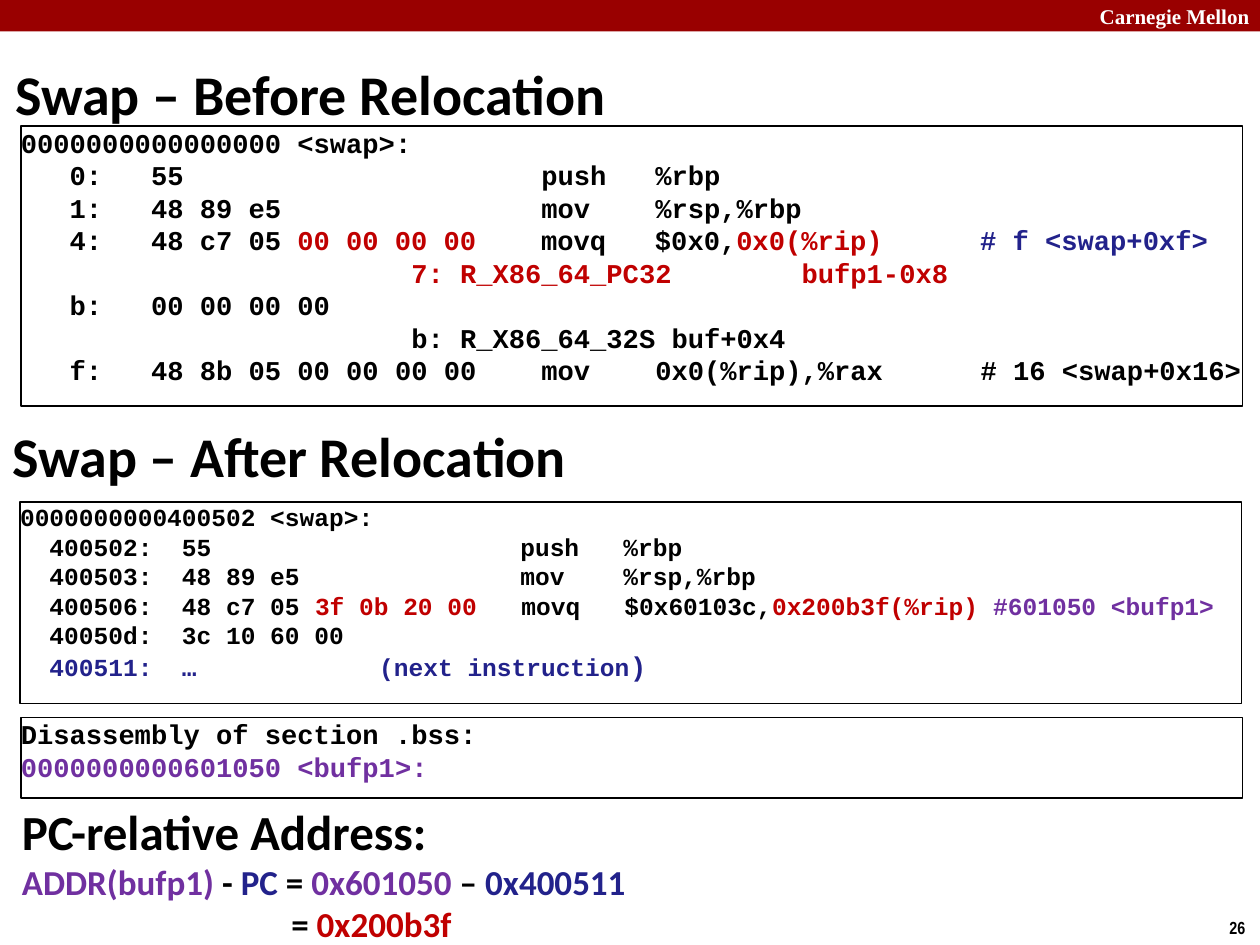
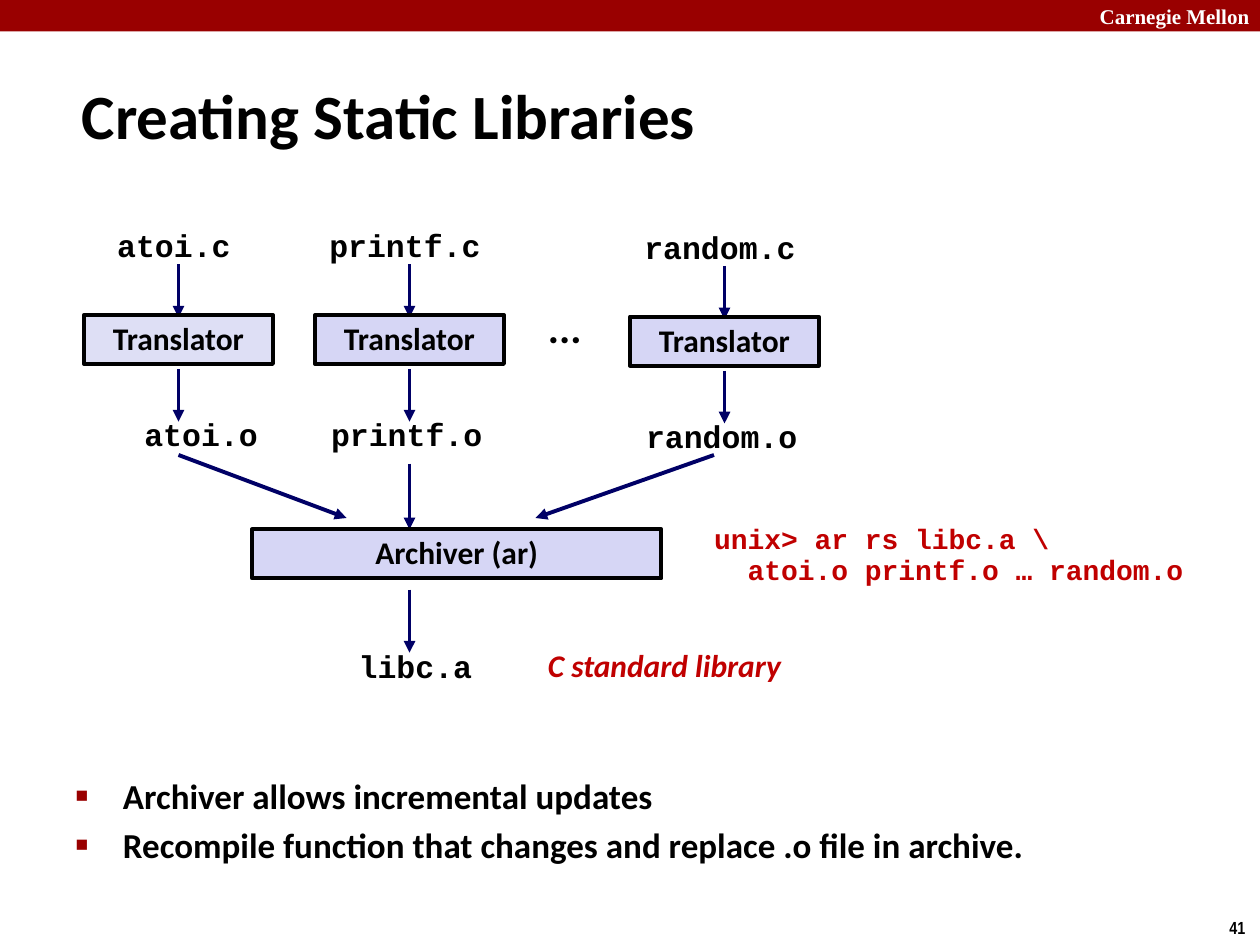
import dataclasses

import lxml.etree
import pptx
import pptx.dml.color
import pptx.enum.shapes
import pptx.enum.text
import pptx.oxml.ns
import pptx.util

Pt = pptx.util.Pt
ALIGN = pptx.enum.text.PP_ALIGN
ANCHOR = pptx.enum.text.MSO_ANCHOR
RECT = pptx.enum.shapes.MSO_SHAPE.RECTANGLE
STRAIGHT = pptx.enum.shapes.MSO_CONNECTOR.STRAIGHT


@dataclasses.dataclass(frozen=True)
class Theme:
    ink: str = "000000"
    white: str = "FFFFFF"
    band: str = "990000"
    red: str = "C00000"
    blue: str = "22228B"
    purple: str = "7030A0"
    arrow: str = "000066"
    box: str = "D6D6F5"
    pale: str = "DEDFF5"
    sans: str = "Calibri"
    mono: str = "Courier New"
    serif: str = "Times New Roman"
    narrow: str = "Arial Narrow"
    title: float = 36
    half: float = 32
    head: float = 28
    dots: float = 24
    body: float = 20
    label: float = 18
    shell: float = 16
    code: float = 15.5
    small: float = 14
    brand: float = 12
    page: float = 10


T = Theme()
PAD = (7.2, 3.6, 7.2, 3.6)
NONE = (0, 0, 0, 0)


def rgb(code):
    return pptx.dml.color.RGBColor.from_string(code)


def write(frame, lines, size, font=T.sans, color=T.ink, align=ALIGN.LEFT,
          anchor=ANCHOR.TOP, pad=PAD, wrap=True, space=None, slant=False):
    """Fill a frame; a line is a string or a list of (text, color[, size])."""
    frame.word_wrap = wrap
    frame.auto_size = pptx.enum.text.MSO_AUTO_SIZE.NONE
    frame.vertical_anchor = anchor
    (frame.margin_left, frame.margin_top,
     frame.margin_right, frame.margin_bottom) = map(Pt, pad)
    for i, line in enumerate(lines):
        para = frame.add_paragraph() if i else frame.paragraphs[0]
        para.alignment = align
        if space:
            para.line_spacing = space
        parts = [(line, color)] if isinstance(line, str) else line
        for text, tint, *own in parts:
            run = para.add_run()
            run.text = text
            run.font.name = font
            run.font.size = Pt(own[0] if own else size)
            run.font.bold = True
            run.font.italic = slant
            run.font.color.rgb = rgb(tint)


def add_text(slide, place, lines, size, **style):
    box = slide.shapes.add_textbox(*map(Pt, place))
    write(box.text_frame, lines, size, **style)
    return box


def add_rect(slide, place, fill=None, line=None, width=2.25):
    rect = slide.shapes.add_shape(RECT, *map(Pt, place))
    rect.shadow.inherit = False
    if fill:
        rect.fill.solid()
        rect.fill.fore_color.rgb = rgb(fill)
    else:
        rect.fill.background()
    if line:
        rect.line.color.rgb = rgb(line)
        rect.line.width = Pt(width)
    else:
        rect.line.fill.background()
    return rect


def add_code(slide, place, lines, size):
    rect = add_rect(slide, place, line=T.ink, width=1)
    write(rect.text_frame, lines, size, font=T.mono, pad=NONE)


def add_step(slide, place, text, fill=T.box):
    rect = add_rect(slide, place, fill, T.ink)
    write(rect.text_frame, [text], T.label, align=ALIGN.CENTER,
          anchor=ANCHOR.MIDDLE, space=0.98)


def add_file(slide, mid, top, name):
    """Place a file name in a box centred on mid."""
    width = 14.4 + 10.8 * len(name)
    add_text(slide, (mid - width / 2, top, width, 28), [name], T.label,
             font=T.mono, wrap=False, space=0.94)


def add_arrow(slide, x1, y1, x2, y2):
    line = slide.shapes.add_connector(STRAIGHT, *map(Pt, (x1, y1, x2, y2)))
    line.line.color.rgb = rgb(T.arrow)
    line.line.width = Pt(2.25)
    qn = pptx.oxml.ns.qn
    props = line._element.spPr
    lxml.etree.SubElement(props.find(qn("a:ln")), qn("a:tailEnd"), type="triangle")
    lxml.etree.SubElement(props, qn("a:effectLst"))


def add_list(holder, place, items):
    """Write a list with square bullets into the body placeholder."""
    move(holder, place)
    write(holder.text_frame, items, T.body)
    qn = pptx.oxml.ns.qn
    for i, para in enumerate(holder.text_frame.paragraphs):
        para.space_before = Pt(4 if i else 0)
        props = para._p.get_or_add_pPr()
        props.set("marL", str(Pt(27)))
        props.set("indent", str(-Pt(27)))
        tint = lxml.etree.SubElement(props, qn("a:buClr"))
        lxml.etree.SubElement(tint, qn("a:srgbClr"), val=T.band)
        lxml.etree.SubElement(props, qn("a:buSzPct"), val="60000")
        lxml.etree.SubElement(props, qn("a:buFont"), typeface="Arial")
        lxml.etree.SubElement(props, qn("a:buChar"), char="■")


def move(shape, place):
    shape.left, shape.top, shape.width, shape.height = map(Pt, place)


def start_slide(deck, layout, title, place, size, page):
    """Add a slide with the shared band, brand, page number and title."""
    slide = deck.slides.add_slide(deck.slide_layouts[layout])
    add_rect(slide, (0, 0, 720, 18), T.band)
    add_text(slide, (604, 0, 110, 18), ["Carnegie Mellon"], T.brand, font=T.serif,
             color=T.white, align=ALIGN.RIGHT, anchor=ANCHOR.MIDDLE, pad=NONE)
    add_text(slide, (695.5, 520.5, 24.5, 19.5), [page], T.page,
             font=T.narrow, wrap=False)
    move(slide.shapes.title, place)
    write(slide.shapes.title.text_frame, [title], size, anchor=ANCHOR.MIDDLE)
    return slide


def build_swap(deck):
    slide = start_slide(deck, 5, "Swap – Before Relocation",
                        (1.5, 34.5, 598, 37.5), T.half, "26")
    add_code(slide, (12, 72, 698, 160), [
        "0000000000000000 <swap>:",
        "   0:   55                      push   %rbp",
        "   1:   48 89 e5                mov    %rsp,%rbp",
        [("   4:   48 c7 05 ", T.ink), ("00 00 00 00    ", T.red),
         ("movq   $0x0,", T.ink), ("0x0(%rip)      ", T.red),
         ("# f <swap+0xf>", T.blue)],
        [("                        7: R_X86_64_PC32        bufp1-0x8", T.red)],
        "   b:   00 00 00 00",
        "                        b: R_X86_64_32S buf+0x4",
        "   f:   48 8b 05 00 00 00 00    mov    0x0(%rip),%rax      # 16 <swap+0x16>",
    ], T.code)

    add_text(slide, (0, 241.5, 598, 37.5), ["Swap – After Relocation"],
             T.half, anchor=ANCHOR.MIDDLE)
    add_code(slide, (11.5, 287, 698, 115), [
        "0000000000400502 <swap>:",
        "  400502:  55                     push   %rbp",
        "  400503:  48 89 e5               mov    %rsp,%rbp",
        [("  400506:  48 c7 05 ", T.ink), ("3f 0b 20 00   ", T.red),
         ("movq   $0x60103c,", T.ink), ("0x200b3f(%rip) ", T.red),
         ("#601050 <bufp1>", T.purple)],
        "  40050d:  3c 10 60 00",
        [("  400511:  …\t\t\t   (next instruction", T.blue), (")", T.blue, T.code)],
    ], T.small)
    add_code(slide, (12, 410, 698, 46), [
        "Disassembly of section .bss:",
        [("0000000000601050 <bufp1>:", T.purple)],
    ], T.code)

    sums = add_text(slide, (12.5, 458, 670, 82), [
        [("PC-relative Address:", T.ink, T.head)],
        [("ADDR(bufp1) ", T.purple), ("- ", T.ink), ("PC", T.blue), (" = ", T.ink),
         ("0x601050", T.purple), (" – ", T.ink), ("0x400511", T.blue)],
        [("= ", T.ink), ("0x200b3f", T.red)],
    ], T.body, pad=NONE)
    last = sums.text_frame.paragraphs[-1]
    last._p.get_or_add_pPr().set("marL", str(Pt(154)))


def build_static(deck):
    slide = start_slide(deck, 1, "Creating Static Libraries",
                        (39.5, 34.5, 680, 62), T.title, "41")
    # name, centre, drop, shift of the object file, fill
    files = [("atoi", 102, 0, 13, T.pale),
             ("printf", 234, 0, -1.5, T.box),
             ("random", 414, 1, -1.5, T.box)]
    for name, mid, drop, shift, fill in files:
        add_file(slide, mid - 2.5, 127.5 + drop, name + ".c")
        add_arrow(slide, mid, 151 + drop, mid, 181.5 + drop)
        add_step(slide, (mid - 54, 180 + drop, 108, 28), "Translator", fill)
        add_arrow(slide, mid, 211 + drop, mid, 241 + drop)
        add_file(slide, mid + shift, 235.5 + drop, name + ".o")
    add_text(slide, (306, 170, 34.5, 36), ["..."], T.dots, wrap=False, space=0.98)

    add_arrow(slide, 102, 260, 198, 296)
    add_arrow(slide, 234, 265, 234, 302.5)
    add_arrow(slide, 408, 260, 306, 296)
    add_step(slide, (144, 302.5, 234, 28), "Archiver (ar)")
    add_text(slide, (401, 296, 286.5, 44),
             ["unix> ar rs libc.a \\", "  atoi.o printf.o … random.o"],
             T.shell, font=T.mono, color=T.red, wrap=False, space=0.94)

    add_arrow(slide, 234, 337, 234, 373)
    add_file(slide, 237.5, 368, "libc.a")
    add_text(slide, (306, 366.5, 234, 29), ["C standard library"], T.label,
             color=T.red, space=0.98, slant=True)
    add_list(slide.placeholders[1], (36, 439, 654.5, 83), [
        "Archiver allows incremental updates",
        "Recompile function that changes and replace .o file in archive.",
    ])


def main():
    deck = pptx.Presentation()
    deck.slide_width, deck.slide_height = Pt(720), Pt(540)
    build_swap(deck)
    build_static(deck)
    deck.save("out.pptx")


if __name__ == "__main__":
    main()
